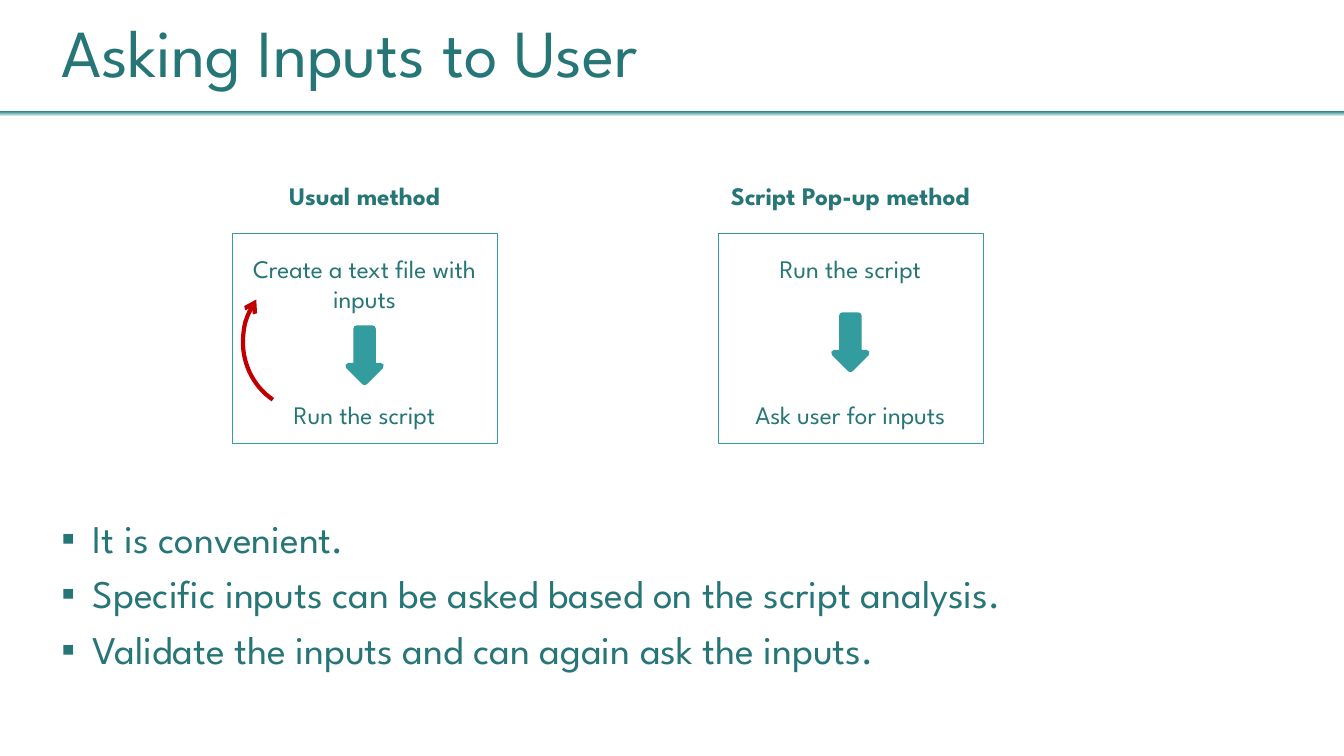
"""Build a slide comparing two ways of asking the user for inputs."""
from lxml import etree
from pptx import Presentation
from pptx import util as u
from pptx.dml import color
from pptx.enum import shapes, text
from pptx.oxml import ns

Pt = u.Pt
FONT = "League Spartan"
COLORS = {"text": "267577", "accent": "339C9F", "pale": "D2F0F0", "retry": "C00000"}
TITLE = "Asking Inputs to User"
METHODS = [
    {"heading": "Usual method", "steps": ["Create a text file with inputs", "Run the script"],
     "center": 260.4, "arrow_top": 234.7},
    {"heading": "Script Pop-up method", "steps": ["Run the script", "Ask user for inputs"],
     "center": 607.4, "arrow_top": 225.4},
]
BENEFITS = [
    "It is convenient.",
    "Specific inputs can be asked based on the script analysis.",
    "Validate the inputs and can again ask the inputs.",
]
SLIDE_WIDTH, SLIDE_HEIGHT = 960, 540
PANEL_WIDTH, PANEL_HEIGHT, PANEL_TOP = 189.4, 149.8, 166.8
HEADING_TOP, STEP_TOPS = 125.3, (177.5, 281.5)
LABEL_WIDTH, LABEL_HEIGHT = 183, 29
HEADING_WIDTH = 220
ARROW_WIDTH, ARROW_HEIGHT = 23, 38.2


def rgb(name):
    return color.RGBColor.from_string(COLORS[name])


def place(shape, left, top, width, height):
    shape.left, shape.top, shape.width, shape.height = map(Pt, (left, top, width, height))


def style(paragraph, size, bold=False):
    font = paragraph.font
    font.name, font.size, font.bold = FONT, Pt(size), bold
    font.color.rgb = rgb("text")


def add_label(slide, content, center, top, width, bold=False):
    box = slide.shapes.add_textbox(Pt(center - width / 2), Pt(top), Pt(width), Pt(LABEL_HEIGHT))
    box.text_frame.word_wrap = True
    paragraph = box.text_frame.paragraphs[0]
    paragraph.text = content
    paragraph.alignment = text.PP_ALIGN.CENTER
    style(paragraph, 18, bold)


def add_shape(slide, kind, left, top, width, height, line=None, line_width=0, fill=None):
    shape = slide.shapes.add_shape(kind, Pt(left), Pt(top), Pt(width), Pt(height))
    shape.shadow.inherit = False
    if fill:
        shape.fill.solid()
        shape.fill.fore_color.rgb = rgb(fill)
    else:
        shape.fill.background()
    if line:
        shape.line.color.rgb = rgb(line)
        shape.line.width = Pt(line_width)
    else:
        shape.line.fill.background()
    return shape


def add_title(slide):
    rule = add_shape(slide, shapes.MSO_SHAPE.RECTANGLE, 0, 79.2, SLIDE_WIDTH, 3.6)
    rule.fill.gradient()
    rule.fill.gradient_angle = 270
    for stop, name in zip(rule.fill.gradient_stops, ("text", "pale")):
        stop.color.rgb = rgb(name)
    title = slide.shapes.title
    place(title, 36.7, 9.4, 873.4, 59.8)
    frame = title.text_frame
    frame.text = TITLE
    frame.auto_size = text.MSO_AUTO_SIZE.NONE
    frame.vertical_anchor = text.MSO_ANCHOR.BOTTOM
    paragraph = frame.paragraphs[0]
    paragraph.alignment = text.PP_ALIGN.LEFT
    paragraph.line_spacing = 0.9
    style(paragraph, 48)


def add_method(slide, method):
    center = method["center"]
    add_label(slide, method["heading"], center, HEADING_TOP, HEADING_WIDTH, True)
    for step, top in zip(method["steps"], STEP_TOPS):
        add_label(slide, step, center, top, LABEL_WIDTH)
    add_shape(slide, shapes.MSO_SHAPE.DOWN_ARROW, center - ARROW_WIDTH / 2, method["arrow_top"],
              ARROW_WIDTH, ARROW_HEIGHT, "accent", 4.5, "accent")
    add_shape(slide, shapes.MSO_SHAPE.RECTANGLE, center - PANEL_WIDTH / 2, PANEL_TOP,
              PANEL_WIDTH, PANEL_HEIGHT, "accent", 0.25)


def add_benefits(slide):
    body = slide.placeholders[1]
    place(body, 36.7, 363.6, 838, 121)
    frame = body.text_frame
    frame.text = "\n".join(BENEFITS)
    frame.auto_size = text.MSO_AUTO_SIZE.NONE
    frame.vertical_anchor = text.MSO_ANCHOR.TOP
    for paragraph in frame.paragraphs:
        paragraph.alignment = text.PP_ALIGN.JUSTIFY
        paragraph.space_before, paragraph.space_after = Pt(0), Pt(6)
        style(paragraph, 28)
        properties = paragraph._p.get_or_add_pPr()
        properties.set("marL", str(Pt(22.5)))
        properties.set("indent", str(-Pt(22.5)))
        bullet = etree.Element(ns.qn("a:buChar"), char="▪")
        properties.find(ns.qn("a:defRPr")).addprevious(bullet)


def add_retry_arc(slide):
    arc = add_shape(slide, shapes.MSO_SHAPE.ARC, 174.2, 190.1, 100.1, 104.4, "retry", 3)
    arc.adjustments[0], arc.adjustments[1] = 162, 0.2
    arc.rotation = 214.2
    etree.SubElement(arc.line._get_or_add_ln(), ns.qn("a:tailEnd"), type="arrow")


def main():
    presentation = Presentation()
    presentation.slide_width, presentation.slide_height = Pt(SLIDE_WIDTH), Pt(SLIDE_HEIGHT)
    slide = presentation.slides.add_slide(presentation.slide_layouts[1])
    add_title(slide)
    for method in METHODS:
        add_method(slide, method)
    add_benefits(slide)
    add_retry_arc(slide)
    presentation.save("out.pptx")


if __name__ == "__main__":
    main()
